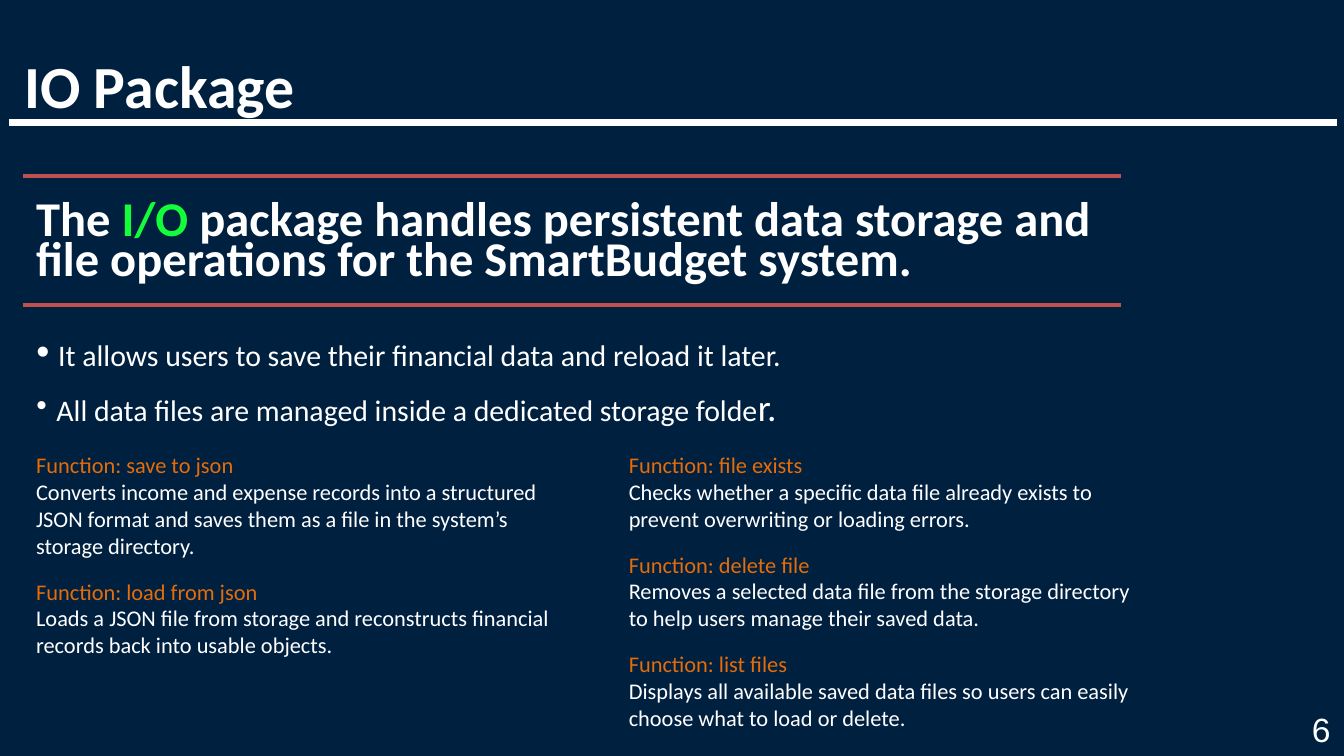
from dataclasses import dataclass

from lxml import etree
from pptx import Presentation
from pptx.dml.color import RGBColor
from pptx.enum import shapes, text
from pptx.oxml.ns import qn
from pptx.util import Inches, Pt

WIDE = 10
HIGH = WIDE * 9 / 16


@dataclass(frozen=True)
class Theme:
    back: str = "002040"
    ink: str = "FFFFFF"
    rule: str = "C0504D"
    mark: str = "14FD3A"
    head: str = "E46C0A"
    font: str = "Calibri"
    plain: str = "Arial"
    title: int = 32
    lead: int = 26
    big: int = 20
    list: int = 16
    note: int = 12
    page: int = 18


T = Theme()


def style(run, size, color=T.ink, bold=False, font=T.font):
    run.font.size, run.font.bold, run.font.name = Pt(size), bold, font
    run.font.color.rgb = RGBColor.from_string(color)


def place(shape, box):
    shape.left, shape.top, shape.width, shape.height = map(Inches, box)


def frame(shape, anchor=text.MSO_ANCHOR.TOP, pads=(0.1, 0.05, 0.1, 0.05)):
    tf = shape.text_frame
    tf.word_wrap, tf.auto_size = True, text.MSO_AUTO_SIZE.NONE
    tf.vertical_anchor = anchor
    tf.margin_left, tf.margin_top, tf.margin_right, tf.margin_bottom = map(Inches, pads)
    return tf


def add_runs(para, parts, **kind):
    for words, size, color in parts:
        run = para.add_run()
        run.text = words
        style(run, size, color, **kind)


def rule(parts, left, right, y, color, width):
    line = parts.add_connector(shapes.MSO_CONNECTOR.STRAIGHT,
                               *map(Inches, (left, y, right, y)))
    line.line.color.rgb = RGBColor.from_string(color)
    line.line.width = Pt(width)
    etree.SubElement(line._element.spPr, qn("a:effectLst"))


def header(slide, box, words):
    """Title resting on a full-width rule."""
    x, y, w, h = box
    rule(slide.shapes, x, x + w, y + h, T.ink, 3.75)
    title = slide.shapes.title
    place(title, (x + 0.01, y, w - 0.05, h - 0.01))
    tf = frame(title, text.MSO_ANCHOR.BOTTOM, (0.1, 0, 0.1, 0))
    tf.text = words
    para = tf.paragraphs[0]
    para.alignment, para.line_spacing = text.PP_ALIGN.LEFT, 0.89
    style(para.runs[0], T.title, bold=True)


def banner(slide, box, parts):
    """Lead sentence between two rules."""
    x, y, w, h = box
    pair = slide.shapes.add_group_shape()
    for edge in (y, y + h):
        rule(pair.shapes, x, x + w, edge, T.rule, 2.25)
    lead = slide.shapes.add_textbox(*map(Inches, (x, y + 0.12, w + 0.09, h - 0.27)))
    tf = frame(lead, text.MSO_ANCHOR.BOTTOM, (0.1, 0, 0.1, 0))
    para = tf.paragraphs[0]
    para.line_spacing = 0.69
    add_runs(para, [(words, T.lead, color) for words, color in parts], bold=True)


def bullets(slide, box, items):
    """Bulleted list in the body placeholder, set low in its box."""
    body = slide.placeholders[1]
    place(body, box)
    tf = frame(body, pads=(0.1, 0.54, 0.1, 0))
    for n, parts in enumerate(items):
        para = tf.add_paragraph() if n else tf.paragraphs[0]
        para.line_spacing = 0.79
        para.space_before = Pt(10 if n else 0)
        props = para._p.get_or_add_pPr()
        props.set("marL", str(Inches(0.1)))
        props.set("indent", str(Inches(-0.1)))
        etree.SubElement(props, qn("a:buChar"), char="•")
        add_runs(para, [(words, size, T.ink) for words, size in parts])


def column(slide, box, notes):
    """Function names, each followed by what it does."""
    tf = frame(slide.shapes.add_textbox(*map(Inches, box)))
    tf.text = "\n".join(line for note in notes for line in note)
    for n, para in enumerate(tf.paragraphs):
        para.space_after = Pt(10 * (n % 2))
        style(para.runs[0], T.note, T.ink if n % 2 else T.head)


def number(slide, box, words):
    """Page number in the lower right corner."""
    tf = frame(slide.shapes.add_textbox(*map(Inches, box)), pads=(0, 0, 0, 0))
    tf.text = words
    para = tf.paragraphs[0]
    para.alignment = text.PP_ALIGN.RIGHT
    style(para.runs[0], T.page, font=T.plain)


LEAD = [
    ("The ", T.ink),
    ("I/O ", T.mark),
    ("package handles persistent data storage and file operations "
     "for the SmartBudget system.", T.ink),
]
POINTS = [
    [(" ", T.big),
     ("It allows users to save their financial data and reload it later.", T.list)],
    [(" All data files are managed inside a dedicated storage folde", T.list),
     ("r.", T.big)],
]
JSON = [
    ("Function: save to json",
     "Converts income and expense records into a structured JSON format "
     "and saves them as a file in the system’s storage directory."),
    ("Function: load from json",
     "Loads a JSON file from storage and reconstructs financial records "
     "back into usable objects."),
]
FILES = [
    ("Function: file exists",
     "Checks whether a specific data file already exists to prevent "
     "overwriting or loading errors."),
    ("Function: delete file",
     "Removes a selected data file from the storage directory to help "
     "users manage their saved data."),
    ("Function: list files",
     "Displays all available saved data files so users can easily choose "
     "what to load or delete."),
]


def main():
    deck = Presentation()
    deck.slide_width, deck.slide_height = Inches(WIDE), Inches(HIGH)
    slide = deck.slides.add_slide(deck.slide_layouts[1])
    fill = slide.background.fill
    fill.solid()
    fill.fore_color.rgb = RGBColor.from_string(T.back)

    left, low = 0.17, 3.31
    header(slide, (0.07, 0, WIDE - 0.12, 0.91), "IO Package")
    banner(slide, (left, 1.31, 8.17, 0.96), LEAD)
    bullets(slide, (left, 1.98, 7.09, 1.29), POINTS)
    column(slide, (left, low, 4.25, 1.65), JSON)
    column(slide, (4.58, low, 3.98, 2.2), FILES)
    number(slide, (WIDE - 0.43, HIGH - 0.35, 0.33, 0.21), "6")
    deck.save("out.pptx")


if __name__ == "__main__":
    main()
